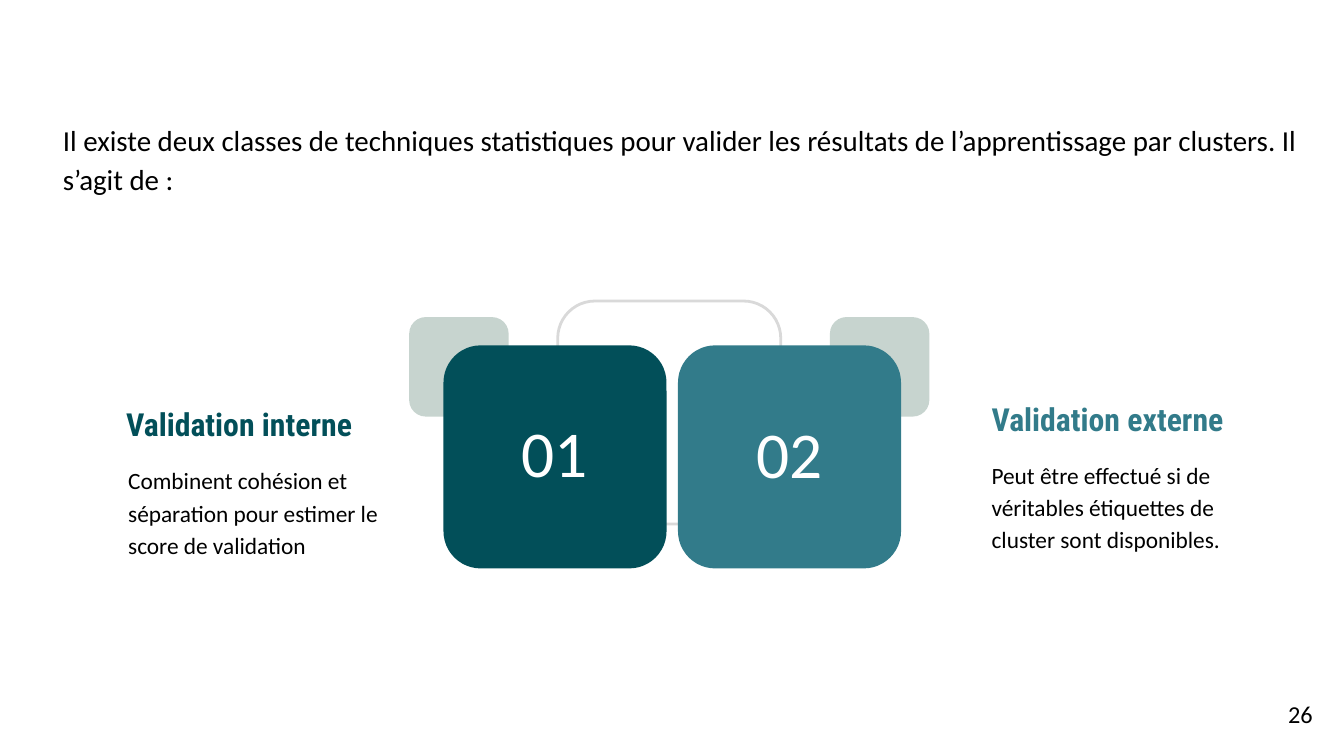
from dataclasses import dataclass
from typing import Optional

from pptx import Presentation
from pptx.dml.color import RGBColor
from pptx.enum.shapes import MSO_SHAPE as Shape
from pptx.enum.text import MSO_ANCHOR as Anchor, PP_ALIGN as Align
from pptx.util import Inches, Pt

BLACK = RGBColor(0x00, 0x00, 0x00)
WHITE = RGBColor(0xFF, 0xFF, 0xFF)
GREY = RGBColor(0xD9, 0xD9, 0xD9)
SAGE = RGBColor(0xC7, 0xD4, 0xCF)
TEAL = RGBColor(0x32, 0x7B, 0x8A)
DARK_TEAL = RGBColor(0x02, 0x4F, 0x59)

BODY_FONT = "Calibri"
HEADING_FONT = "Roboto Condensed"
SLIDE_WIDTH = Inches(10)
SLIDE_HEIGHT = SLIDE_WIDTH * 9 // 16
CELL = SLIDE_WIDTH // 100  # square grid, 100 columns across the slide
TILE = 16.6
ACCENT = 7.4
TILE_ROW = 25.7
ACCENT_ROW = 23.6


@dataclass(frozen=True)
class Area:
    """Columns and rows of the grid."""
    column: float
    row: float
    columns: float
    rows: float

    def lengths(self) -> list[int]:
        return [round(count * CELL)
                for count in (self.column, self.row, self.columns, self.rows)]


@dataclass(frozen=True)
class Style:
    size: float
    color: RGBColor = BLACK
    font: str = BODY_FONT
    bold: bool = False
    align: Align = Align.LEFT
    spacing: float = 1.0


@dataclass(frozen=True)
class Method:
    number: str
    title: str
    description: str
    color: RGBColor
    tile_column: float
    accent_column: float
    number_row: float
    title_area: Area
    title_align: Align
    description_area: Area


METHODS = (
    Method("02", "Validation externe",
           "Peut être effectué si de véritables étiquettes de cluster sont disponibles.",
           TEAL, 50.45, 61.75, 29.75, Area(72.8, 28.75, 22.4, 3.9), Align.LEFT,
           Area(72.8, 33, 20.3, 11.3)),
    Method("01", "Validation interne",
           "Combinent cohésion et séparation pour estimer le score de validation",
           DARK_TEAL, 33, 30.45, 29.7, Area(4.8, 29.1, 22.4, 3.9), Align.RIGHT,
           Area(8.55, 33.4, 21.2, 7.5)),
)


def add_square(page, area: Area, fill: Optional[RGBColor] = None,
               line: Optional[RGBColor] = None) -> None:
    square = page.shapes.add_shape(Shape.ROUNDED_RECTANGLE, *area.lengths())
    square.shadow.inherit = False
    square.adjustments[0] = 0.167
    if fill is None:
        square.fill.background()
    else:
        square.fill.solid()
        square.fill.fore_color.rgb = fill
    if line is None:
        square.line.fill.background()
    else:
        square.line.color.rgb = line
        square.line.width = Pt(1.5)


def add_text(page, area: Area, text: str, style: Style) -> None:
    frame = page.shapes.add_textbox(*area.lengths()).text_frame
    frame.word_wrap = True
    frame.vertical_anchor = Anchor.TOP
    frame.margin_left = frame.margin_right = CELL
    frame.margin_top = frame.margin_bottom = CELL
    para = frame.paragraphs[0]
    para.alignment = style.align
    para.line_spacing = style.spacing
    span = para.add_run()
    span.text = text
    span.font.name = style.font
    span.font.size = Pt(style.size)
    span.font.bold = style.bold
    span.font.color.rgb = style.color


def add_method(page, method: Method) -> None:
    add_square(page, Area(method.accent_column, ACCENT_ROW, ACCENT, ACCENT), SAGE)
    add_square(page, Area(method.tile_column, TILE_ROW, TILE, TILE), method.color)
    add_text(page, Area(method.tile_column, method.number_row, TILE, 4.3),
             method.number, Style(35, WHITE, align=Align.CENTER))
    add_text(page, method.title_area, method.title,
             Style(17, method.color, HEADING_FONT, True, method.title_align))
    add_text(page, method.description_area, method.description,
             Style(12.5, spacing=1.15))


def main() -> None:
    deck = Presentation()
    deck.slide_width = SLIDE_WIDTH
    deck.slide_height = SLIDE_HEIGHT
    page = deck.slides.add_slide(deck.slide_layouts[6])

    add_square(page, Area(41.5, 22.4, TILE, TILE), line=GREY)
    add_text(page, Area(3.7, 7.7, 95, 8),
             "Il existe deux classes de techniques statistiques pour valider les "
             "résultats de l’apprentissage par clusters. Il s’agit de :",
             Style(15.5, spacing=1.15))
    for method in METHODS:
        add_method(page, method)
    add_text(page, Area(92.65, 51.05, 6, 4.3), "26", Style(13, align=Align.RIGHT))

    deck.save("out.pptx")


if __name__ == "__main__":
    main()
